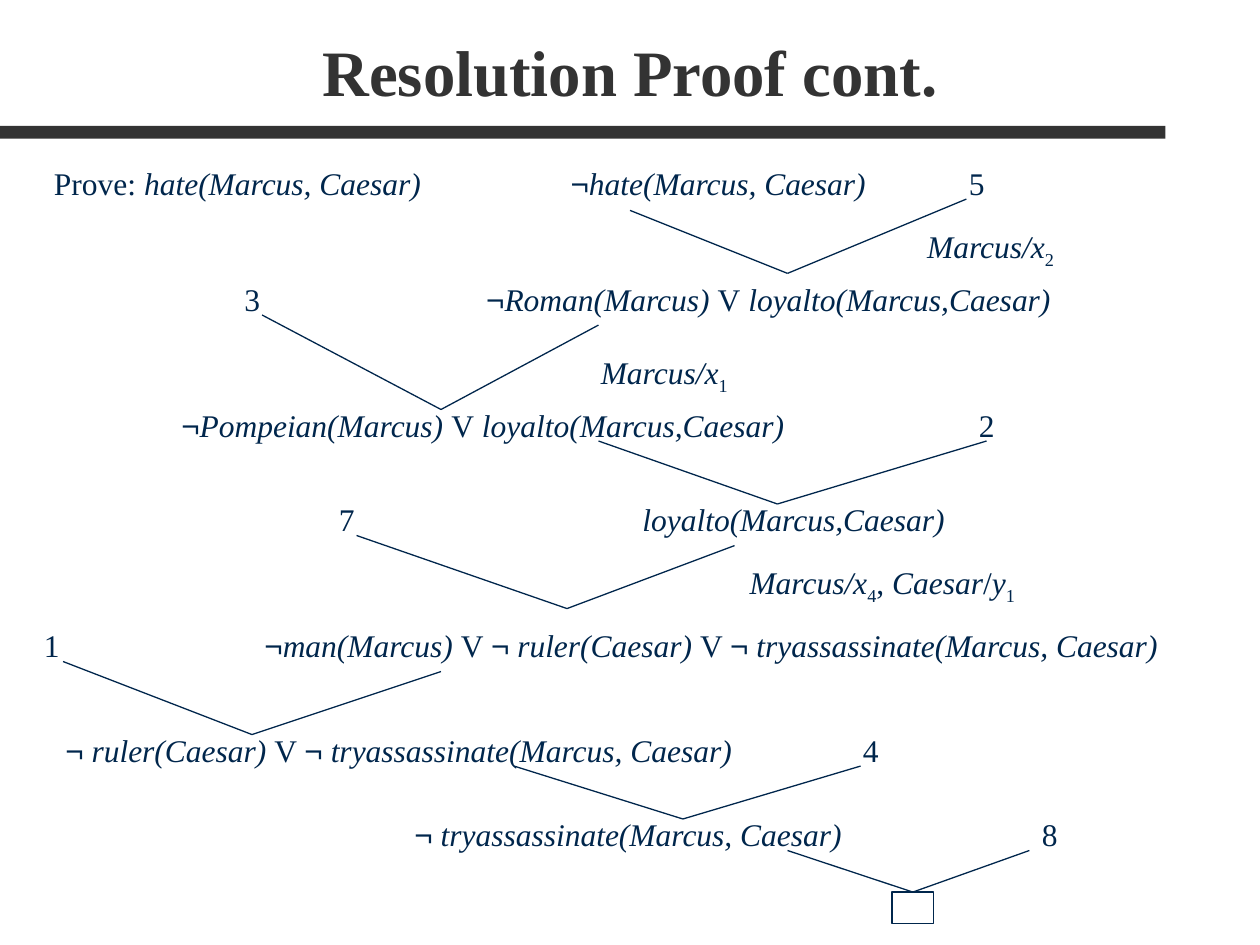
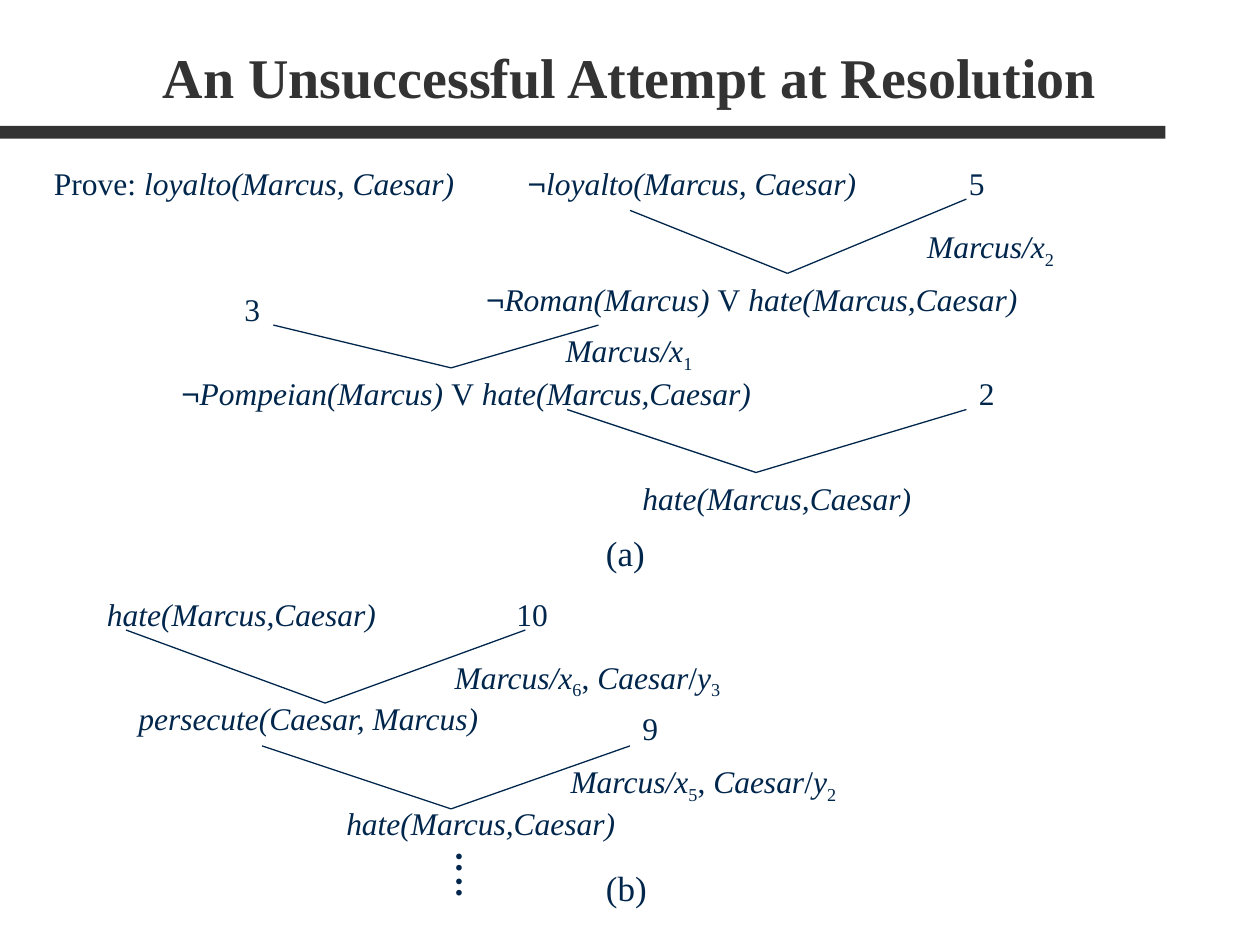
from itertools import groupby

from pptx import Presentation
from pptx.dml.color import RGBColor
from pptx.enum.shapes import MSO_CONNECTOR as Connector, MSO_SHAPE as Preset
from pptx.enum.text import MSO_ANCHOR as Anchor, MSO_AUTO_SIZE as AutoSize, PP_ALIGN as Align
from pptx.oxml.ns import qn
from pptx.util import Inches, Pt
from lxml import etree

NAVY = RGBColor(0x00, 0x26, 0x4C)
CHARCOAL = RGBColor(0x33, 0x33, 0x33)
SERIF = "Times New Roman"
SANS = "Arial"
TOP = 0


def add_runs(paragraph, markup, size, color, bold):
    """Add runs: *italic*, _subscript_, and negation signs in the sans font."""
    for italic_index, part in enumerate(markup.split("*")):
        for subscript_index, piece in enumerate(part.split("_")):
            for is_negation, letters in groupby(piece, lambda letter: letter == "¬"):
                run = paragraph.add_run()
                run.text = "".join(letters)
                font = run.font
                font.name = SANS if is_negation else SERIF
                font.size = Pt(size)
                font.color.rgb = color
                font.bold = bold
                font.italic = italic_index % 2 == 1 and not is_negation
                if subscript_index % 2:
                    run.font._element.set("baseline", "-25000")


def add_text(slide, markup, left, top, width, height=0.4, size=18, color=NAVY, bold=False,
             wrap=False, align=Align.LEFT, anchor=Anchor.TOP, grow=True,
             line_spacing=None, space_before=0):
    """Add a text box with one paragraph for each line of markup."""
    box = slide.shapes.add_textbox(Inches(left), Inches(top), Inches(width), Inches(height))
    frame = box.text_frame
    frame.word_wrap = wrap
    frame.auto_size = AutoSize.SHAPE_TO_FIT_TEXT if grow else AutoSize.NONE
    frame.vertical_anchor = anchor
    for index, line in enumerate(markup.split("\n")):
        paragraph = frame.add_paragraph() if index else frame.paragraphs[0]
        paragraph.alignment = align
        paragraph.line_spacing = line_spacing
        paragraph.space_before = Pt(space_before)
        add_runs(paragraph, line, size, color, bold)


def add_clauses(slide, clauses, **text_format):
    """Add formulas given as (markup, left, top, width)."""
    for clause in clauses:
        add_text(slide, *clause, **text_format)


def add_clause_numbers(slide, numbers):
    """Add the numbers of the clauses resolved against."""
    for number, left, top in numbers:
        add_text(slide, number, left, top, 0.32 if len(number) == 1 else 0.45)


def add_branches(slide, branches, target=None):
    """Join each pair of parents to the point of their resolvent."""
    for first_parent, resolvent, second_parent in branches:
        for parent in (first_parent, second_parent):
            ends = [Inches(value) for value in (*parent, *resolvent)]
            connector = slide.shapes.add_connector(Connector.STRAIGHT, *ends)
            connector.line.color.rgb = NAVY
            connector.line.width = Pt(0.75)
            etree.SubElement(connector._element.spPr, qn("a:effectLst"))
            if target is not None:
                connector.end_connect(target, TOP)


def add_empty_clause(slide, left, top):
    """Add the small empty box that ends a proof."""
    box = slide.shapes.add_shape(Preset.FLOWCHART_PROCESS, Inches(left), Inches(top),
                                 Inches(0.33), Inches(0.25))
    box.shadow.inherit = False
    box.fill.background()
    box.line.color.rgb = NAVY
    box.line.width = Pt(0.75)
    return box


def add_titled_slide(presentation, title, size):
    """Add a blank slide with the shared band and title."""
    slide = presentation.slides.add_slide(presentation.slide_layouts[6])
    band = slide.shapes.add_shape(Preset.RECTANGLE, 0, Inches(1), Inches(9.25), Inches(0.1))
    band.shadow.inherit = False
    band.fill.solid()
    band.fill.fore_color.rgb = CHARCOAL
    band.line.fill.background()
    add_text(slide, title, 0.29, 0.17, 9.42, 0.75, size=size, color=CHARCOAL, bold=True,
             wrap=True, align=Align.CENTER, anchor=Anchor.BOTTOM, grow=False)
    return slide


def build_proof(presentation):
    """Build the slide with the finished proof."""
    slide = add_titled_slide(presentation, "Resolution Proof cont.", 37)
    add_clauses(slide, [
        ("Prove: *hate(Marcus, Caesar)*", 0.33, 1.25, 3.58),
        ("¬*man(Marcus) *V ¬* ruler(Caesar) *V ¬ *tryassassinate(Marcus, Caesar)*",
         2, 4.92, 7.57),
        ("¬* ruler(Caesar) *V ¬ *tryassassinate(Marcus, Caesar)*", 0.42, 5.75, 6.16),
    ], wrap=True)
    add_clauses(slide, [
        ("¬*hate(Marcus, Caesar)*", 4.43, 1.25, 2.57),
        ("¬*Roman(Marcus) *V* loyalto(Marcus,Caesar)*", 3.76, 2.17, 4.71),
        ("¬*Pompeian(Marcus) *V* loyalto(Marcus,Caesar)*", 1.34, 3.17, 5.02),
        ("*loyalto(Marcus,Caesar)*", 5, 3.92, 2.61),
        ("¬ *tryassassinate(Marcus, Caesar)*", 3.19, 6.42, 3.62),
    ])
    add_clauses(slide, [
        ("*Marcus/x*_2_", 7.26, 1.75, 1.21),
        ("*Marcus/x*_1_", 4.67, 2.75, 1.23),
        ("*Marcus/x*_4_, *Caesar*/*y*_1_", 5.85, 4.42, 2.31),
    ], height=0.44)
    add_clause_numbers(slide, [
        ("5", 7.59, 1.25), ("3", 1.84, 2.17), ("2", 7.67, 3.17), ("7", 2.59, 3.92),
        ("1", 0.25, 4.92), ("4", 6.75, 5.75), ("8", 8.17, 6.42),
    ])
    add_branches(slide, [
        ((5, 1.67), (6.25, 2.17), (7.67, 1.58)),
        ((4.75, 2.58), (3.5, 3.25), (2.08, 2.5)),
        ((7.83, 3.5), (6.17, 4), (4.75, 3.5)),
        ((5.83, 4.33), (4.5, 4.83), (2.83, 4.25)),
        ((3.5, 5.33), (2, 5.83), (0.5, 5.25)),
        ((4.08, 6.08), (5.42, 6.5), (6.83, 6.08)),
    ])
    empty_clause = add_empty_clause(slide, 7.08, 7.08)
    add_branches(slide, [((8.17, 6.75), (7.25, 7.08), (6.25, 6.75))], target=empty_clause)


def build_failed_attempt(presentation):
    """Build the slide with the two attempts that do not end."""
    slide = add_titled_slide(presentation, "An Unsuccessful Attempt at Resolution", 32)
    add_clauses(slide, [
        ("Prove: *loyalto(Marcus, Caesar)*", 0.33, 1.25, 3.58),
        ("*hate(Marcus,Caesar)*", 0.75, 4.67, 2.35),
    ], wrap=True)
    add_clauses(slide, [
        ("¬*loyalto(Marcus, Caesar)*", 4.09, 1.25, 2.83),
        ("¬*Roman(Marcus) *V* hate(Marcus,Caesar)*", 3.76, 2.17, 4.45),
        ("¬*Pompeian(Marcus) *V* hate(Marcus,Caesar)*", 1.34, 2.92, 4.75),
        ("*hate(Marcus,Caesar)*", 5, 3.75, 2.34),
        ("*persecute(Caesar, Marcus)*", 1, 5.5, 2.93),
        ("*hate(Marcus,Caesar)*", 2.65, 6.33, 2.34),
    ])
    add_clauses(slide, [
        ("*Marcus/x*_2_", 7.26, 1.75, 1.21),
        ("*Marcus/x*_1_", 4.39, 2.58, 1.23),
        ("*Marcus/x*_6_, *Caesar*/*y*_3_", 3.51, 5.17, 2.31),
        ("*Marcus/x*_5_, *Caesar*/*y*_2_", 4.43, 6, 2.31),
    ], height=0.44)
    add_clause_numbers(slide, [
        ("5", 7.59, 1.25), ("3", 1.84, 2.25), ("2", 7.67, 2.92),
        ("10", 4, 4.67), ("9", 5, 5.58),
    ])
    add_branches(slide, [
        ((5, 1.67), (6.25, 2.17), (7.67, 1.58)),
        ((4.75, 2.58), (3.58, 2.92), (2.17, 2.58)),
        ((7.67, 3.25), (6, 3.75), (4.5, 3.25)),
        ((4.17, 5), (2.58, 5.58), (1, 5)),
        ((5, 5.92), (3.58, 6.42), (2.08, 5.92)),
    ])
    add_clauses(slide, [("(a)", 4.71, 4.17, 0.58), ("(b)", 4.71, 6.83, 0.58)],
                height=0.44, size=20, wrap=True)
    add_text(slide, ":\n:", 3.5, 6.75, 0.42, 0.44, size=20, bold=True, wrap=True,
             line_spacing=0.4, space_before=5)


def main():
    """Build and save the presentation."""
    presentation = Presentation()
    presentation.slide_width = Inches(10)
    presentation.slide_height = Inches(7.5)
    build_proof(presentation)
    build_failed_attempt(presentation)
    presentation.save("out.pptx")


if __name__ == "__main__":
    main()
